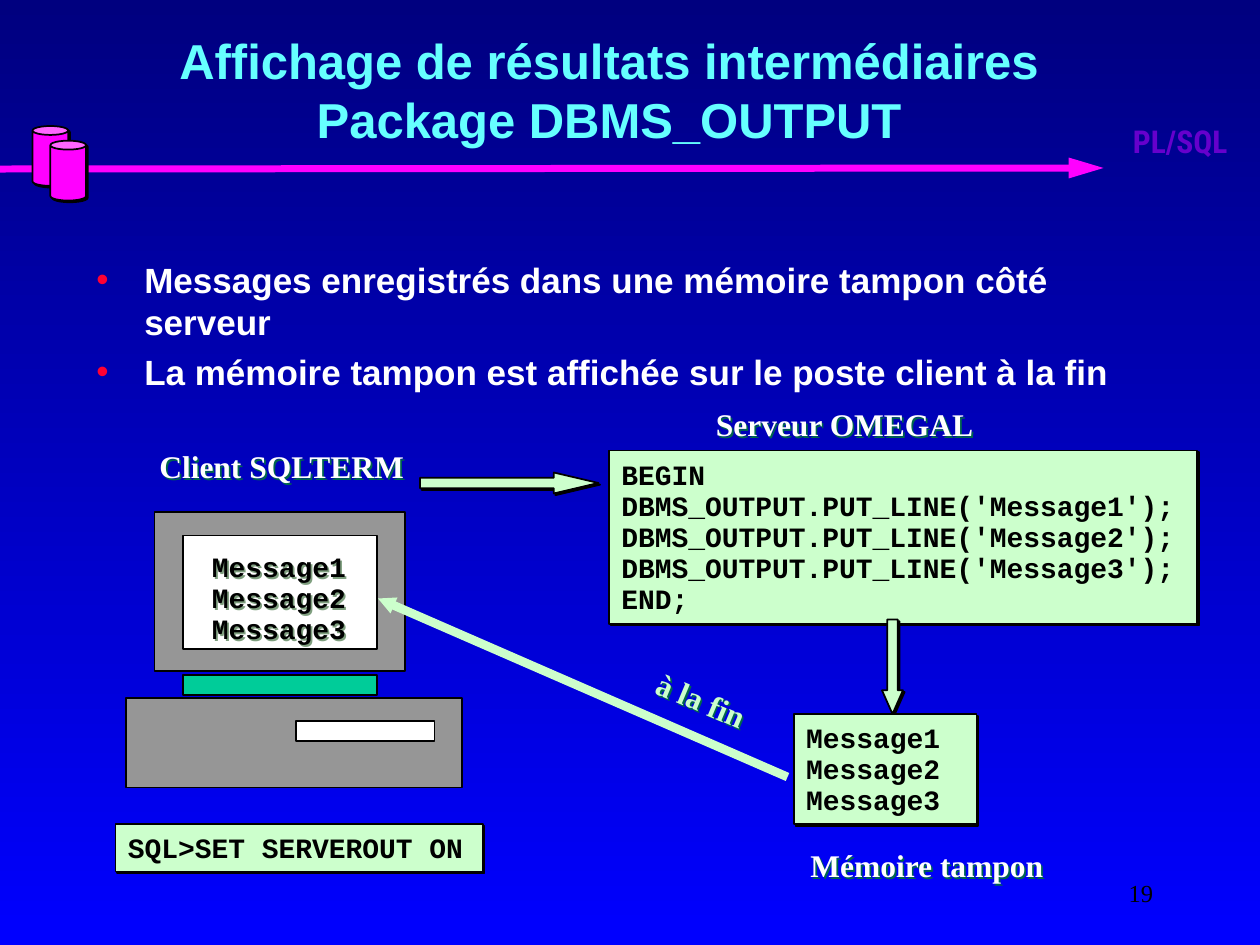
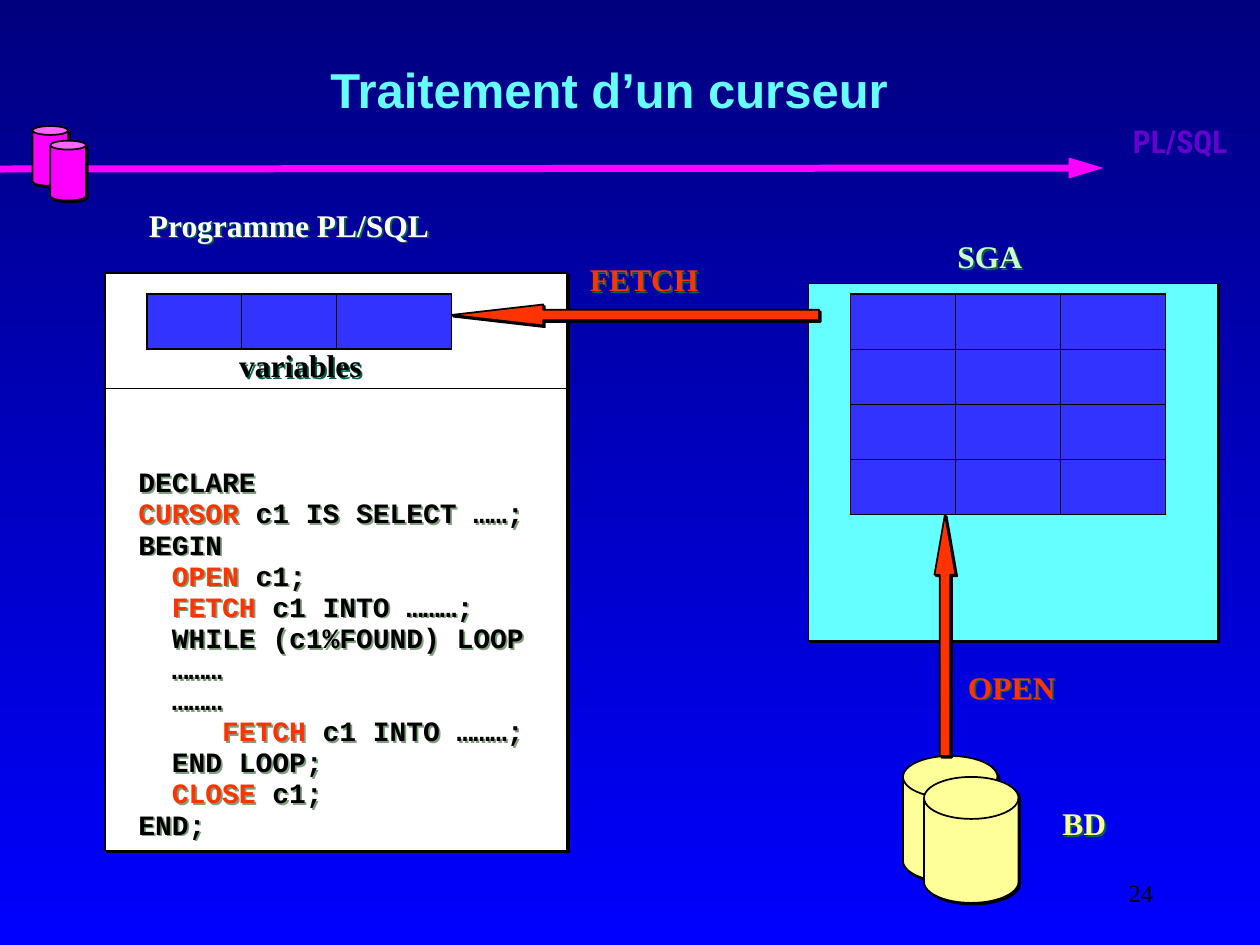
import pptx
import pptx.dml.color
import pptx.enum.shapes
import pptx.enum.text
import pptx.oxml
import pptx.oxml.ns
import pptx.util
from lxml import etree

COLUMNS, ROWS = 120, 90
COLOURS = {
    "night": "00007F", "blue": "0000FF", "cell": "3333FF", "cyan": "66FFFF",
    "magenta": "FF00FF", "violet": "6600CC", "mint": "CCFFCC", "green": "00CC99",
    "yellow": "FFFF99", "red": "FF3300", "bullet": "FF0033", "grey": "969696",
    "white": "FFFFFF", "black": "000000", "label_shade": "00664C", "code_shade": "7F9F7F",
}
PRESET = pptx.enum.shapes.MSO_SHAPE
ALIGN = pptx.enum.text.PP_ALIGN
ANCHOR = pptx.enum.text.MSO_ANCHOR
Pt, Inches = pptx.util.Pt, pptx.util.Inches

# Each style: frame, paragraph and font attributes, plus the gap before later paragraphs.
STYLES = {
    "title": {"frame": {"vertical_anchor": ANCHOR.MIDDLE}, "para": {"alignment": ALIGN.CENTER},
              "font": {"name": "Arial", "size": Pt(28), "bold": True}},
    "body": {"frame": {}, "para": {"alignment": ALIGN.LEFT}, "gap": 5,
             "font": {"name": "Arial", "size": Pt(20), "bold": True}},
    "label": {"frame": {}, "para": {"alignment": ALIGN.LEFT},
              "font": {"name": "Times New Roman", "size": Pt(18), "bold": True}},
    "code": {"frame": {"vertical_anchor": ANCHOR.MIDDLE, "margin_top": Inches(0.21),
                       "margin_bottom": Inches(0.09)},
             "para": {"alignment": ALIGN.LEFT, "line_spacing": 0.3, "space_after": Pt(6)},
             "gap": 6, "font": {"name": "Courier New", "size": Pt(16), "bold": True}},
    "badge": {"frame": {}, "para": {"alignment": ALIGN.CENTER},
              "font": {"name": "Roboto Condensed", "size": Pt(18), "bold": True}},
    "number": {"frame": {"vertical_anchor": ANCHOR.MIDDLE}, "para": {"alignment": ALIGN.RIGHT},
               "font": {"name": "Times New Roman", "size": Pt(14), "bold": False}},
}


def rgb(name):
    return pptx.dml.color.RGBColor.from_string(COLOURS[name])


def apply(target, values):
    for name, value in values.items():
        setattr(target, name, value)


def add_element(parent, tag, **attributes):
    child = etree.SubElement(parent, pptx.oxml.ns.qn(tag))
    for name, value in attributes.items():
        child.set(name, str(value))
    return child


def add_solid(parent, colour):
    add_element(add_element(parent, "a:solidFill"), "a:srgbClr", val=COLOURS[colour])


class Deck:
    """Holds the presentation, its grid and the page being filled."""

    def __init__(self):
        self.show = pptx.Presentation()
        self.show.slide_width, self.show.slide_height = Inches(10), Inches(7.5)
        self.page = None

    def grid(self, *lengths):
        """Turn alternating columns and rows into slide lengths."""
        steps = (self.show.slide_width / COLUMNS, self.show.slide_height / ROWS)
        return [round(length * steps[i % 2]) for i, length in enumerate(lengths)]

    def new_page(self, title, number):
        self.page = self.show.slides.add_slide(self.show.slide_layouts[6])
        fill = self.page.background.fill
        fill.gradient()
        fill.gradient_angle = 270
        for stop, colour in zip(fill.gradient_stops, ("night", "blue")):
            stop.color.rgb = rgb(colour)
        self.line((0, 16.1), (105.1, 16), "magenta", 4, head=("med", "lg"))
        for left, top in ((3.1, 12), (4.8, 13.4)):
            self.shape(PRESET.CAN, (left, top, 3.4, 5.7), "magenta", shadow=True, adjust=(0.25,))
        self.text("badge", (105.4, 11, 14, 9.4), ["PL/SQL"], "violet")
        self.text("number", (86, 82, 25, 6), [number], "black")
        self.text("title", (5, 1, 106, 15), [title], "cyan")

    def shade(self, shape, colour):
        shape.shadow.inherit = False
        if colour:
            effects = shape._element.spPr.find(pptx.oxml.ns.qn("a:effectLst"))
            outer = add_element(effects, "a:outerShdw", dist=Pt(1.4), dir=2700000, algn="ctr")
            add_element(outer, "a:srgbClr", val=COLOURS[colour])

    def shape(self, preset, area, fill, shadow=False, adjust=()):
        shape = self.page.shapes.add_shape(preset, *self.grid(*area))
        shape.fill.solid()
        shape.fill.fore_color.rgb = rgb(fill)
        shape.line.color.rgb = rgb("black")
        shape.line.width = Pt(1)
        for i, value in enumerate(adjust):
            shape.adjustments[i] = value
        self.shade(shape, "black" if shadow else None)
        return shape

    def line(self, start, end, colour, width, head=None):
        line = self.page.shapes.add_connector(
            pptx.enum.shapes.MSO_CONNECTOR.STRAIGHT, *self.grid(*start, *end))
        line.line.color.rgb = rgb(colour)
        line.line.width = Pt(width)
        if head:
            outline = line._element.spPr.find(pptx.oxml.ns.qn("a:ln"))
            add_element(outline, "a:tailEnd", type="triangle", w=head[0], len=head[1])
        add_element(line._element.spPr, "a:effectLst")

    def fill_text(self, box, style, lines, colour):
        """Fill a box; parts of a line between bars are red."""
        look = STYLES[style]
        frame = box.text_frame
        frame.word_wrap = True
        apply(frame, look["frame"])
        for i, line in enumerate(lines):
            para = frame.add_paragraph() if i else frame.paragraphs[0]
            apply(para, look["para"])
            if i and "gap" in look:
                para.space_before = Pt(look["gap"])
            if style == "body":
                self.bullet(para)
            for j, part in enumerate(line.split("|")):
                for k, piece in enumerate(part.split("\n")):
                    if k:
                        para.add_line_break()
                    if piece:
                        span = para.add_run()
                        span.text = piece
                        apply(span.font, look["font"])
                        span.font.color.rgb = rgb("red" if j % 2 else colour)

    def bullet(self, para):
        props = para._p.get_or_add_pPr()
        props.set("marL", str(Inches(0.38)))
        props.set("indent", str(-Inches(0.38)))
        add_element(add_element(props, "a:buClr"), "a:srgbClr", val=COLOURS["bullet"])
        add_element(props, "a:buFont", typeface="Arial")
        add_element(props, "a:buChar", char="•")

    def text(self, style, area, lines, colour, shade=None, **frame):
        box = self.page.shapes.add_textbox(*self.grid(*area))
        self.fill_text(box, style, lines, colour)
        apply(box.text_frame, frame)
        self.shade(box, shade)
        return box

    def label(self, left, top, width, words, colour="white"):
        return self.text("label", (left, top, width, 4.8), [words], colour, "label_shade")

    def code_box(self, area, lines):
        box = self.shape(PRESET.RECTANGLE, area, "mint", shadow=True)
        self.fill_text(box, "code", lines, "black")

    def cells(self, left, top, widths, rows, height):
        """Add an empty table with a thick frame and thin inner lines."""
        area = (left, top, sum(widths), rows * height)
        table = self.page.shapes.add_table(rows, len(widths), *self.grid(*area)).table
        for column, width in zip(table.columns, widths):
            column.width = self.grid(width)[0]
        for r, row in enumerate(table.rows):
            row.height = self.grid(0, height)[1]
            for c, cell in enumerate(row.cells):
                props = cell._tc.get_or_add_tcPr()
                outer = {"L": c == 0, "R": c == len(widths) - 1, "T": r == 0, "B": r == rows - 1}
                for side, thick in outer.items():
                    edge = add_element(props, "a:ln" + side, w=Pt(1.08 if thick else 0.45))
                    add_solid(edge, "black")
                cell.fill.solid()
                cell.fill.fore_color.rgb = rgb("cell")


def build_output_page(deck):
    messages = [f"Message{n}" for n in (1, 2, 3)]
    deck.new_page("Affichage de résultats intermédiaires\nPackage DBMS_OUTPUT", "19")
    deck.text("body", (8, 24, 106, 54), [
        "Messages enregistrés dans une mémoire tampon côté serveur",
        "La mémoire tampon est affichée sur le poste client à la fin"], "white")
    calls = [f"DBMS_OUTPUT.PUT_LINE('{message}');" for message in messages]
    deck.code_box((58, 42.9, 56, 16.5), ["BEGIN", *calls, "END;"])

    computer = [
        ((14.7, 48.8, 23.9, 15.1), "grey"), ((17.4, 51, 18.5, 10.8), "white"),
        ((17.4, 64.3, 18.5, 1.9), "green"), ((12, 66.5, 32, 8.5), "grey"),
        ((28.2, 68.7, 13.2, 1.9), "white")]
    for area, colour in computer:
        deck.shape(PRESET.RECTANGLE, area, colour)

    deck.label(14, 42, 29, "Client SQLTERM")
    deck.label(67, 38, 30, "Serveur OMEGAL")
    deck.shape(PRESET.RIGHT_ARROW, (40, 45, 17, 2), "mint", True, (0.5, 2.13))
    deck.shape(PRESET.DOWN_ARROW, (84, 59, 2, 9), "mint", True, (0.5, 1.13))
    deck.code_box((75.6, 68, 17.4, 10.5), messages)
    deck.label(76, 80, 26, "Mémoire tampon")
    deck.line((75, 74), (36, 57), "mint", 5, head=("sm", "sm"))
    deck.text("code", (19, 51.7, 16, 10.5), messages, "black", "code_shade")
    deck.label(61, 65.2, 16, "à la fin", "mint").rotation = 22.9
    deck.code_box((11, 78.5, 35, 4.5), ["SQL>SET SERVEROUT ON"])


def build_cursor_page(deck):
    deck.new_page("Traitement d’un curseur", "24")
    deck.shape(PRESET.RECTANGLE, (10, 26, 44, 55), "white", True)
    deck.label(13, 19, 31, "Programme PL/SQL")
    deck.shape(PRESET.RECTANGLE, (77, 27, 39, 34), "cyan", True)
    deck.label(90, 22, 21, "SGA", "mint")
    for left, top in ((86, 72), (88, 74)):
        deck.shape(PRESET.FLOWCHART_MAGNETIC_DISK, (left, top, 9, 12), "yellow", True)
    deck.label(100, 76, 9, "BD", "yellow")
    deck.line((10, 37), (54, 37), "black", 1)
    deck.shape(PRESET.UP_ARROW, (89, 49, 2, 23), "red", True, (0.5, 2.87))
    deck.cells(81, 28, (10, 10, 10), 4, 5.25)
    deck.label(91, 63, 18, "OPEN", "red")
    deck.label(21.6, 32.4, 21, "variables", "black")
    deck.cells(14, 28, (9, 9, 11), 1, 5.25)
    deck.shape(PRESET.LEFT_ARROW, (43, 29, 35, 2), "red", True, (0.5, 4.37))
    deck.label(55, 24.2, 18, "FETCH", "red")
    deck.text("code", (12, 38.4, 40, 42.4), [
        "DECLARE",
        "|CURSOR| c1 IS SELECT ……;",
        "BEGIN",
        "  |OPEN| c1;",
        "  |FETCH| c1 INTO ………;",
        "  WHILE (c1%FOUND) LOOP",
        "  ………",
        "  ………",
        "     |FETCH| c1 INTO ………;",
        "  END LOOP;",
        "  |CLOSE| c1;",
        "END;"], "black", "code_shade", vertical_anchor=ANCHOR.BOTTOM)


def main():
    deck = Deck()
    build_output_page(deck)
    build_cursor_page(deck)
    deck.show.save("out.pptx")


if __name__ == "__main__":
    main()
